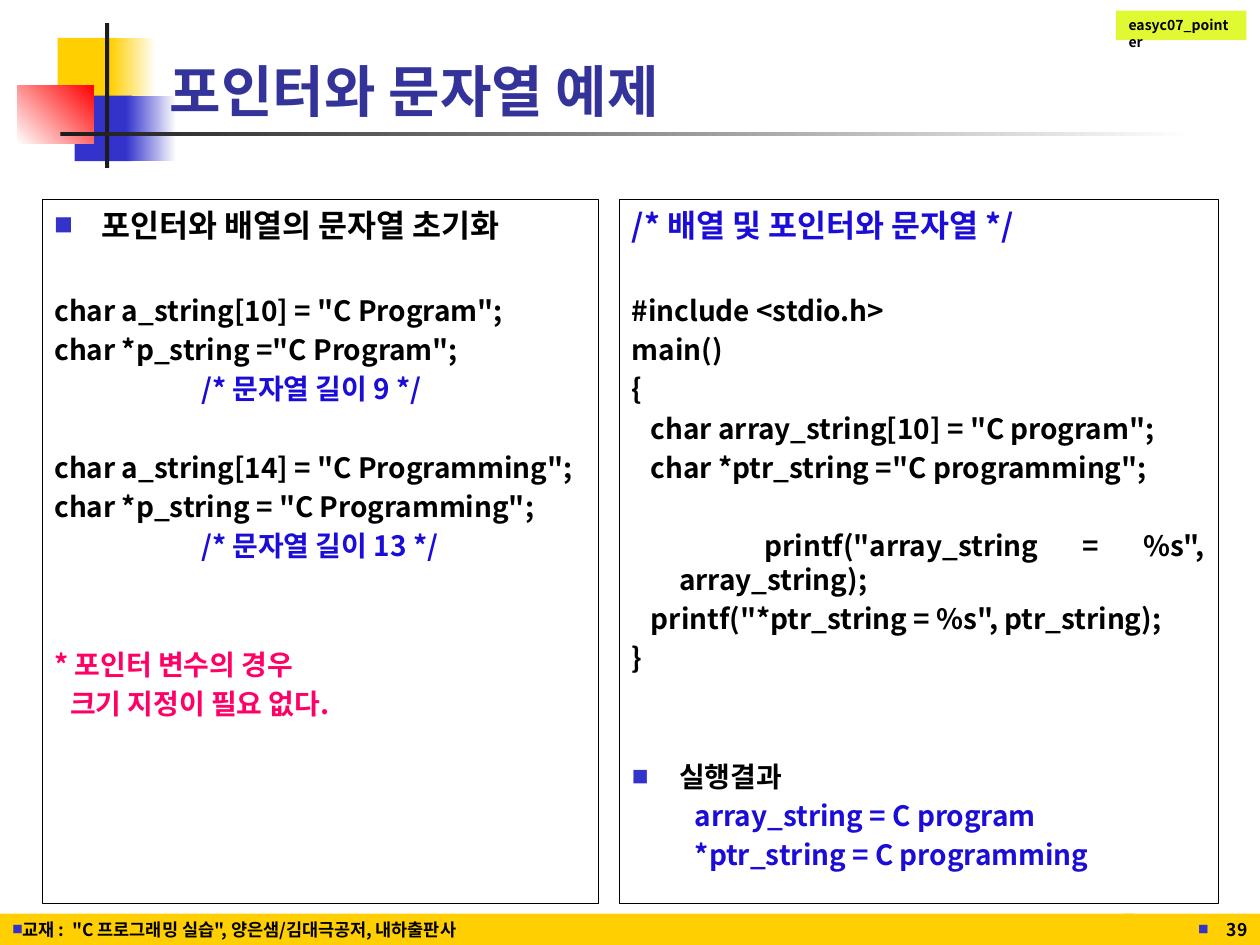
from dataclasses import dataclass
from typing import Any

from lxml.etree import SubElement
from pptx import Presentation
from pptx.dml.color import RGBColor as RGB
from pptx.enum.shapes import MSO_SHAPE as SHAPE
from pptx.enum.text import MSO_ANCHOR as ANCHOR, PP_ALIGN as ALIGN
from pptx.oxml.ns import qn
from pptx.util import Inches, Pt

FONT = "Noto Sans CJK KR"
INK = {"gold": "FFCF01", "blue": "3333CC", "red": "FF0000", "dark": "1C1C1C",
       "lime": "E1F933", "title": "333399", "note": "1B0DD7",
       "pink": "FF0066", "black": "000000", "white": "FFFFFF"}


def hue(name):
    return RGB.from_string(INK[name])


def cell(n):
    """Length of n grid cells; the slide is 120 columns by 90 rows."""
    return Inches(n / 12)


@dataclass
class Line:
    text: str
    ink: str = "black"
    size: int = 16
    gap: float = 3.2
    left: float = 4.5
    hang: float = 4.5
    bullet: bool = False
    align: Any = ALIGN.JUSTIFY


class Deck:
    def __init__(self):
        self.prs = Presentation()
        self.prs.slide_width, self.prs.slide_height = cell(120), cell(90)
        self.slide = self.prs.slides.add_slide(self.prs.slide_layouts[6])

    def rect(self, at, fill=None, line=None):
        box = self.slide.shapes.add_shape(SHAPE.RECTANGLE, *map(cell, at))
        box.shadow.inherit = False
        if fill:
            box.fill.solid()
            box.fill.fore_color.rgb = hue(fill)
        else:
            box.fill.background()
        if line:
            box.line.color.rgb = hue(line)
            box.line.width = Pt(0.25)
        else:
            box.line.fill.background()
        return box

    def fade(self, at, start, end="white", angle=0):
        fill = self.rect(at).fill
        fill.gradient()
        fill.gradient_angle = angle
        for stop, name in zip(fill.gradient_stops, (start, end)):
            stop.color.rgb = hue(name)

    def bullet(self, props):
        color = SubElement(props, qn("a:buClr"))
        SubElement(color, qn("a:srgbClr"), val=INK["blue"])
        SubElement(props, qn("a:buSzPct"), val="60000")
        SubElement(props, qn("a:buFont"), typeface=FONT)
        SubElement(props, qn("a:buChar"), char="■")

    def put(self, box, lines, anchor=ANCHOR.TOP):
        frame = box.text_frame
        frame.word_wrap = True
        frame.vertical_anchor = anchor
        for i, line in enumerate(lines):
            para = frame.add_paragraph() if i else frame.paragraphs[0]
            para.text = line.text
            para.alignment = line.align
            if i:
                para.space_before = Pt(line.gap)
            props = para._p.get_or_add_pPr()
            props.set("marL", str(cell(line.left)))
            props.set("indent", str(-cell(line.hang)))
            if line.bullet:
                self.bullet(props)
            for run in para.runs:
                font = run.font
                font.name, font.size, font.bold = FONT, Pt(line.size), True
                font.color.rgb = hue(line.ink)
                SubElement(run._r.get_or_add_rPr(), qn("a:ea"), typeface=FONT)

    def label(self, at, line, fill=None, anchor=ANCHOR.TOP):
        self.put(self.rect(at, fill), [line], anchor)

    def panel(self, at, lines):
        self.put(self.rect(at, line="black"), lines)


def flush(text, ink, size):
    return Line(text, ink, size, left=0, hang=0, align=ALIGN.LEFT)


def remark(text):
    return Line(text, "note", left=14, hang=0)


def result(text):
    return Line(text, "note", left=9.75, hang=3.75)


def main():
    deck = Deck()
    deck.rect((5.5, 3.6, 5.75, 6.25), "gold")
    deck.fade((10.5, 3.6, 4.35, 6.25), "gold")
    deck.rect((7.1, 9.1, 5.5, 6.25), "blue")
    deck.fade((12, 9.1, 4.8, 6.25), "blue")
    deck.fade((1.65, 8.1, 7.3, 5.6), "white", "red", 45)
    deck.rect((10, 2.2, 0.4, 13.8), "dark")
    deck.fade((5.75, 12.55, 108, 0.4), "dark")

    deck.label((106.3, 1, 12.4, 2.8), flush("easyc07_pointer", "black", 8), "lime")
    deck.label((0, 87, 108, 3),
               Line('교재 :  "C 프로그래밍 실습", 양은샘/김대극공저, 내하출판사',
                    size=10, left=0.8, hang=0.8, bullet=True, align=ALIGN.LEFT),
               "gold", ANCHOR.MIDDLE)
    deck.label((107, 87, 13, 3),
               Line("39", size=10, left=2.75, hang=2.75, bullet=True,
                    align=ALIGN.RIGHT), "gold", ANCHOR.MIDDLE)
    deck.label((15, 2, 101, 10.4), flush("포인터와 문자열 예제", "title", 32),
               anchor=ANCHOR.BOTTOM)

    # Space before a paragraph that opens a new block
    head, block, part = 28.6, 25.8, 48.4
    deck.panel((4, 19, 53, 67), [
        Line("포인터와 배열의 문자열 초기화", size=18, bullet=True, align=ALIGN.LEFT),
        Line('char a_string[10] = "C Program";', gap=head),
        Line('char *p_string ="C Program";'),
        remark("/* 문자열 길이 9 */"),
        Line('char a_string[14] = "C Programming";', gap=block),
        Line('char *p_string = "C Programming";'),
        remark("/* 문자열 길이 13 */"),
        Line("* 포인터 변수의 경우", "pink", gap=part),
        Line("크기 지정이 필요 없다.", "pink", left=1.5, hang=0),
    ])
    deck.panel((59, 19, 57, 67), [
        Line("/* 배열 및 포인터와 문자열 */", "note", 18),
        Line("#include <stdio.h>", gap=head),
        Line("main()"),
        Line("{"),
        Line('   char array_string[10] = "C program";'),
        Line('   char *ptr_string ="C programming";'),
        Line('   printf("array_string = %s", array_string);', gap=block),
        Line('   printf("*ptr_string = %s", ptr_string);'),
        Line("}"),
        Line("실행결과", gap=part, bullet=True),
        result("array_string = C program"),
        result("*ptr_string = C programming"),
    ])
    deck.prs.save("out.pptx")


if __name__ == "__main__":
    main()
